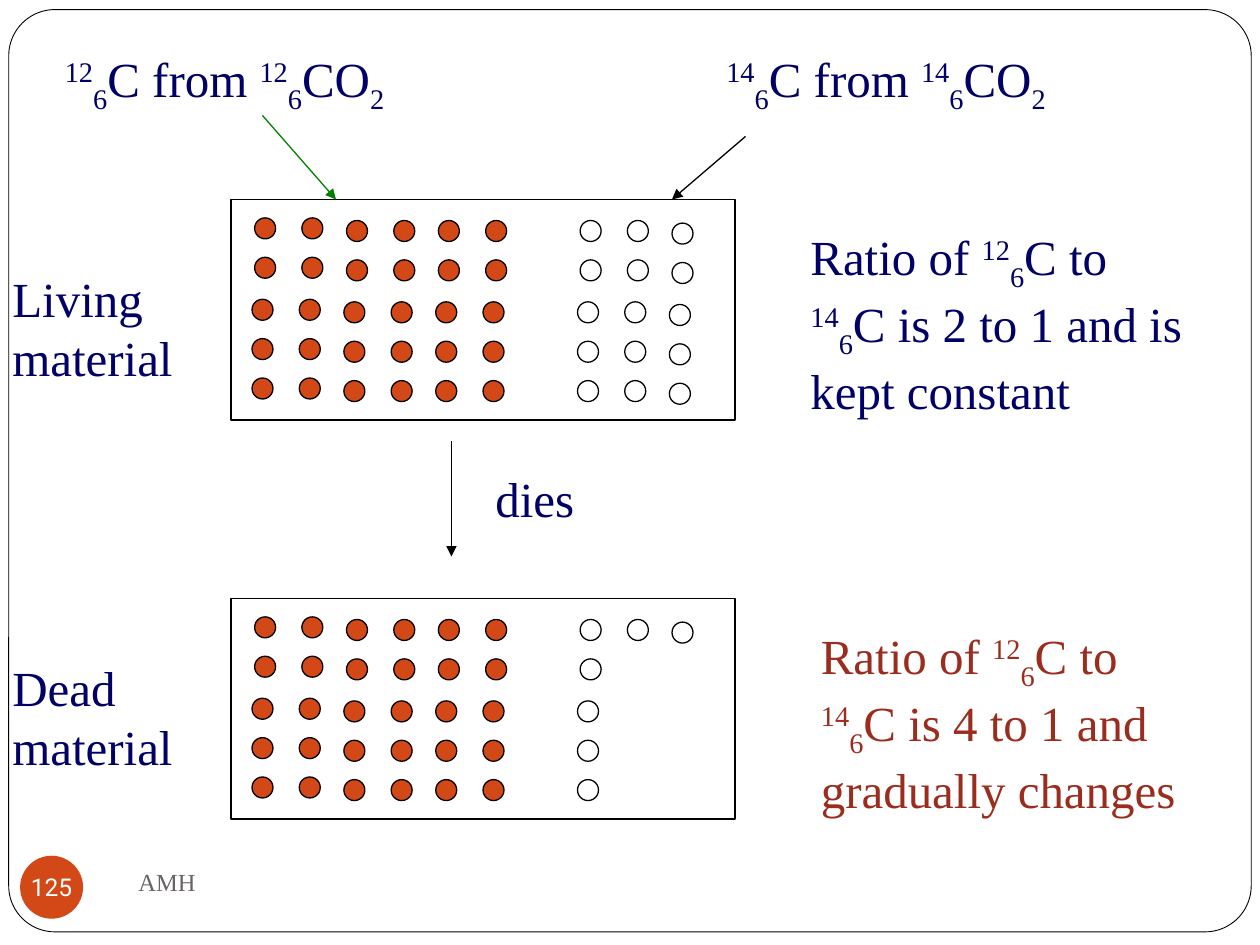
import pptx
import pptx.dml.color
import pptx.enum.shapes
import pptx.enum.text
import pptx.oxml
import pptx.oxml.ns
import pptx.util

Pt = pptx.util.Pt
RGBColor = pptx.dml.color.RGBColor
SHAPE = pptx.enum.shapes.MSO_SHAPE
ANCHOR = pptx.enum.text.MSO_ANCHOR

NAVY = RGBColor(0x00, 0x00, 0x66)
BRICK = RGBColor(0x9B, 0x2D, 0x1F)
ORANGE = RGBColor(0xD3, 0x48, 0x17)
GREEN = RGBColor(0x00, 0x80, 0x00)
GREY = RGBColor(0x69, 0x64, 0x64)
BLACK = RGBColor(0x00, 0x00, 0x00)
WHITE = RGBColor(0xFF, 0xFF, 0xFF)

SERIF = "Times New Roman"
RAISED, LOWERED = 30000, -25000
DOT = 12
CARBON_12_COLUMNS = [12, 39, 64.5, 91.5, 117, 144]
CARBON_14_COLUMNS = [198, 225, 250.5]
DOT_ROWS = [12, 34.5, 58.5, 81, 103.5]
STAGGER = 1.5


def add_outline(page, kind, left, top, width, height, fill=None, line=BLACK, weight=0.75):
    shape = page.shapes.add_shape(kind, Pt(left), Pt(top), Pt(width), Pt(height))
    shape.shadow.inherit = False
    if fill is None:
        shape.fill.background()
    else:
        shape.fill.solid()
        shape.fill.fore_color.rgb = fill
    if line is None:
        shape.line.fill.background()
    else:
        shape.line.color.rgb = line
        shape.line.width = Pt(weight)
    return shape


def add_arrow(page, start, end, color=BLACK):
    arrow = page.shapes.add_connector(
        pptx.enum.shapes.MSO_CONNECTOR.STRAIGHT, *(Pt(value) for value in start + end))
    arrow.line.color.rgb = color
    arrow.line.width = Pt(0.75)
    head = pptx.oxml.parse_xml(
        f'<a:tailEnd {pptx.oxml.ns.nsdecls("a")} type="triangle"/>')
    arrow.line._get_or_add_ln().append(head)
    arrow._element.spPr.append(
        pptx.oxml.parse_xml(f'<a:effectLst {pptx.oxml.ns.nsdecls("a")}/>'))


def isotope(mass, symbol):
    return [(mass, RAISED), ("6", LOWERED), (symbol, 0)]


def add_text(page, left, top, width, height, spans, color=NAVY, size=28):
    box = page.shapes.add_textbox(Pt(left), Pt(top), Pt(width), Pt(height))
    box.text_frame.word_wrap = True
    para = box.text_frame.paragraphs[0]
    para.font.name = SERIF
    para.font.size = Pt(size)
    para.font.color.rgb = color
    for text, baseline in spans:
        span = para.add_run()
        span.text = text
        if baseline:
            span._r.get_or_add_rPr().set("baseline", str(baseline))
    return box


def add_source_label(page, left, top, width, height, mass):
    spans = isotope(mass, "C from ") + isotope(mass, "CO") + [("2", LOWERED)]
    add_text(page, left, top, width, height, spans)


def add_ratio(page, left, top, width, height, ending, color):
    spans = [("Ratio of ", 0)] + isotope("12", "C to ") + isotope("14", ending)
    add_text(page, left, top, width, height, spans, color)


def add_sample(page, left, top, width, height, carbon_14_counts):
    """Panel of atoms; carbon_14_counts gives the carbon-14 atoms in each row."""
    add_outline(page, SHAPE.RECTANGLE, left, top, width, height)
    for row, (y, count) in enumerate(zip(DOT_ROWS, carbon_14_counts)):
        # The top two rows sit slightly to the right
        shift = STAGGER if row < 2 else 0
        for column, x in enumerate(CARBON_12_COLUMNS):
            lift = STAGGER if column < 2 else 0
            add_outline(page, SHAPE.OVAL, left + x + shift, top + y - lift, DOT, DOT, ORANGE)
        for column, x in enumerate(CARBON_14_COLUMNS[:count]):
            drop = STAGGER if column == 2 else 0
            add_outline(page, SHAPE.OVAL, left + x + shift, top + y + drop, DOT, DOT)


def add_frame(page, left, top, width, height):
    frame = add_outline(page, SHAPE.ROUNDED_RECTANGLE, left, top, width, height,
                        WHITE, weight=0.5)
    frame.adjustments[0] = 0.05


def add_footer(page, left, top, width, height):
    label = add_text(page, left + 60.5, top - 3, width, height, [("AMH", 0)], GREY, 14)
    label.text_frame.vertical_anchor = ANCHOR.MIDDLE
    # Page number badge
    badge = add_outline(page, SHAPE.OVAL, left, top, height, height, ORANGE, None)
    frame = badge.text_frame
    frame.margin_left = frame.margin_right = frame.margin_top = frame.margin_bottom = 0
    frame.word_wrap = False
    frame.vertical_anchor = ANCHOR.MIDDLE
    para = frame.paragraphs[0]
    para.text = "125"
    para.alignment = pptx.enum.text.PP_ALIGN.CENTER
    para.font.name = "Roboto"
    para.font.size = Pt(14)
    para.font.color.rgb = WHITE


def main():
    deck = pptx.Presentation()
    deck.slide_width, deck.slide_height = Pt(720), Pt(540)
    page = deck.slides.add_slide(deck.slide_layouts[6])
    add_frame(page, 5, 5.5, 710, 527)

    # Living and dead samples
    add_sample(page, 132, 114, 288, 126, [3, 3, 3, 3, 3])
    add_sample(page, 132, 342, 288, 126, [3, 1, 1, 1, 1])
    add_text(page, 0, 150, 132, 74, [("Living material", 0)])
    add_text(page, 0, 372, 132, 74, [("Dead material", 0)])
    add_ratio(page, 456, 126, 228, 108, "C is 2 to 1 and is kept constant", NAVY)
    add_ratio(page, 462, 354, 228, 108, "C is 4 to 1 and gradually changes", BRICK)

    # Step between the samples
    add_arrow(page, (258, 252), (258, 318))
    add_text(page, 276, 264, 66, 41, [("dies", 0)])

    # Carbon sources
    add_source_label(page, 30, 24, 216, 41, "12")
    add_source_label(page, 408, 24, 216, 41, "14")
    add_arrow(page, (150, 66), (192, 114), GREEN)
    add_arrow(page, (426, 78), (384, 114))

    add_footer(page, 11.5, 489, 312, 36)
    deck.save("out.pptx")


if __name__ == "__main__":
    main()
